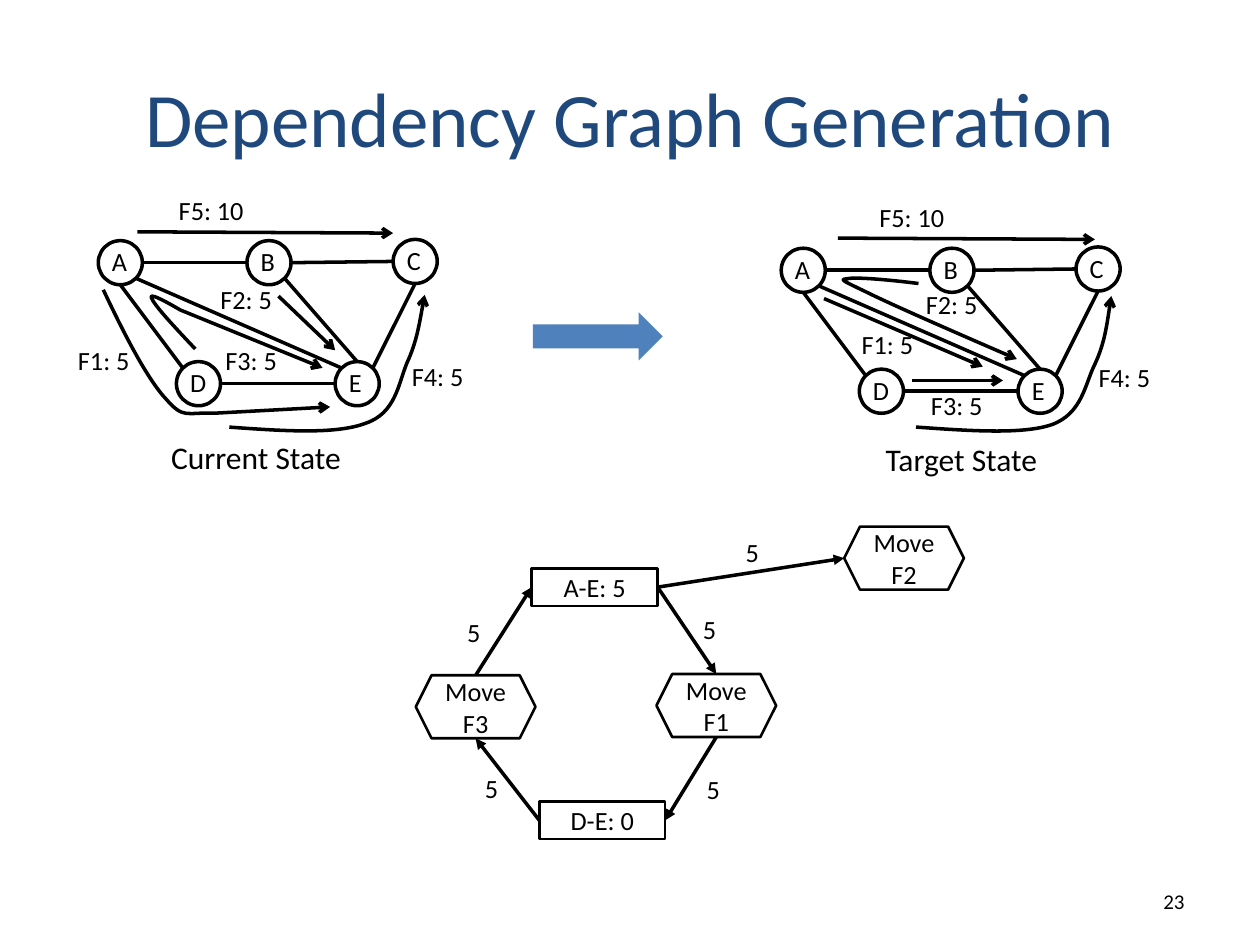
from math import cos, sin, radians
from pptx import Presentation
from pptx.dml.color import RGBColor
from pptx.enum.shapes import MSO_CONNECTOR, MSO_SHAPE
from pptx.enum.text import MSO_ANCHOR, PP_ALIGN
from pptx.oxml.ns import qn
from pptx.util import Inches, Pt
from lxml.etree import SubElement

INK = "000000"
SIZE = 0.35
NODES = {"A": (0.78, 1.91), "B": (1.96, 1.91), "C": (3.12, 1.9),
         "D": (1.4, 2.87), "E": (2.66, 2.87)}
EDGES = [("B", 90, "A", 270), ("C", 90, "B", 270), ("D", 45, "A", 180),
         ("E", 45, "A", 225), ("E", 90, "D", 270), ("C", 180, "E", 315),
         ("E", 0, "B", 225)]
SHIFT = (5.42, 0.06)

NOW = {
    "F1: 5": ((0.52, 2.68), [(0.82, 2.3), (0.99, 2.66), (1.17, 3.01), (1.32, 3.17),
                             (1.46, 3.33), (1.48, 3.27), (1.7, 3.28), (2.62, 3.23)]),
    "F2: 5": ((1.65, 2.2), [(2.21, 2.35), (2.66, 2.78)]),
    "F3: 5": ((1.69, 2.68), [(1.55, 2.77), (1.39, 2.6), (1.22, 2.42), (1.2, 2.36),
                             (1.18, 2.31), (1.43, 2.46), (1.43, 2.46), (2.56, 2.92)]),
    "F4: 5": ((3.17, 2.81), [(1.82, 3.39), (2.24, 3.42), (2.66, 3.45), (2.9, 3.36),
                             (3.14, 3.28), (3.16, 3.05), (3.23, 2.88),
                             (3.31, 2.71), (3.37, 2.34), (3.37, 2.34)]),
    "F5: 10": ((1.32, 1.49), [(1.09, 1.84), (3.12, 1.85)]),
}
GOAL = {
    "F1: 5": ((6.74, 2.56), [(6.54, 2.37), (7.8, 2.91)]),
    "F2: 5": ((7.25, 2.24), [(7.29, 2.25), (7.05, 2.22), (6.81, 2.2), (6.74, 2.21),
                             (6.67, 2.22), (6.65, 2.21), (6.88, 2.32),
                             (7.1, 2.43), (8.07, 2.85), (8.07, 2.85)]),
    "F3: 5": ((7.29, 3.04), [(7.24, 3.02), (7.96, 3.02)]),
    "F4: 5": ((8.62, 2.82), [(7.27, 3.39), (7.69, 3.42), (8.12, 3.45), (8.35, 3.37),
                             (8.59, 3.28), (8.61, 3.05), (8.69, 2.89),
                             (8.77, 2.72), (8.82, 2.35), (8.82, 2.35)]),
    "F5: 10": ((6.88, 1.55), [(6.65, 1.89), (8.69, 1.9)]),
}

RECT, HEX = (MSO_SHAPE.RECTANGLE, 1, 0.3), (MSO_SHAPE.HEXAGON, 0.95, 0.5)
BOXES = {"A-E: 5": (RECT, 4.22, 4.51), "D-E: 0": (RECT, 4.28, 6.36),
         "Move\nF3": (HEX, 3.3, 5.36), "Move\nF1": (HEX, 5.21, 5.35),
         "Move\nF2": (HEX, 6.7, 4.18)}
SIDES = {"top": (0.5, 0), "left": (0, 0.5), "bottom": (0.5, 1), "right": (1, 0.5)}
LINKS = [("A-E: 5", "right", "Move\nF2", "left", (5.82, 4.21)),
         ("A-E: 5", "right", "Move\nF1", "top", (5.48, 4.82)),
         ("Move\nF1", "bottom", "D-E: 0", "right", (5.51, 6.09)),
         ("D-E: 0", "left", "Move\nF3", "bottom", (3.75, 6.08)),
         ("Move\nF3", "top", "A-E: 5", "left", (3.61, 4.84))]


def paint(hue):
    return RGBColor.from_string(hue)


def write(frame, text, size=15, align=PP_ALIGN.LEFT, hue=INK, anchor=MSO_ANCHOR.TOP):
    frame.text = text
    frame.vertical_anchor = anchor
    for para in frame.paragraphs:
        para.alignment = align
        para.font.name = "Calibri"
        para.font.size = Pt(size)
        para.font.color.rgb = paint(hue)


def label(slide, text, at, wide=0.98, high=0.35, wrap=True, **style):
    box = slide.shapes.add_textbox(*map(Inches, (*at, wide, high)))
    box.text_frame.word_wrap = wrap
    write(box.text_frame, text, **style)


def stroke(shape, width, head=None):
    shape.line.color.rgb = paint(INK)
    shape.line.width = Pt(width)
    if head:
        SubElement(shape.line._get_or_add_ln(), qn("a:tailEnd"), type=head)


def block(slide, kind, at, wide, high, width=1.5):
    shape = slide.shapes.add_shape(kind, *map(Inches, (*at, wide, high)))
    shape.shadow.inherit = False
    shape.fill.background()
    stroke(shape, width)
    return shape


def join(slide, start, end, head=None):
    line = slide.shapes.add_connector(MSO_CONNECTOR.STRAIGHT, *map(Inches, (*start, *end)))
    stroke(line, 2, head)
    SubElement(line._element.spPr, qn("a:effectLst"))


def curve(slide, points):
    spots = [(Inches(x), Inches(y)) for x, y in points]
    pen = slide.shapes.build_freeform(*spots[0])
    pen.add_line_segments(spots[1:], close=False)
    shape = pen.convert_to_shape()
    shape.shadow.inherit = False
    shape.fill.background()
    stroke(shape, 2, "arrow")
    steps = list(shape._element.iter(qn("a:lnTo")))
    for i in range(0, len(steps) - 2, 3):
        bend = steps[i].makeelement(qn("a:cubicBezTo"))
        steps[i].addprevious(bend)
        for step in steps[i:i + 3]:
            bend.append(step[0])
            step.getparent().remove(step)


def rim(at, turn):
    half, angle = SIZE / 2, radians(turn)
    return at[0] + half - half * sin(angle), at[1] + half - half * cos(angle)


def state(slide, name, at, wide, flows, shift=(0, 0)):
    spots = {key: (x + shift[0], y + shift[1]) for key, (x, y) in NODES.items()}
    label(slide, name, at, wide, 0.4, wrap=False, size=18)
    for start, out, end, into in EDGES:
        join(slide, rim(spots[start], out), rim(spots[end], into))
    for key, (x, y) in spots.items():
        block(slide, MSO_SHAPE.OVAL, (x, y), SIZE, SIZE, 2)
        label(slide, key, (x + 0.01, y - 0.01), 0.79)
    for text, (place, points) in flows.items():
        if len(points) == 2:
            join(slide, *points, head="arrow")
        else:
            curve(slide, points)
        label(slide, text, place)


def port(name, side):
    (kind, wide, high), x, y = BOXES[name]
    across, down = SIDES[side]
    return x + wide * across, y + high * down


def graph(slide):
    for text, ((kind, wide, high), x, y) in BOXES.items():
        shape = block(slide, kind, (x, y), wide, high)
        write(shape.text_frame, text, align=PP_ALIGN.CENTER, anchor=MSO_ANCHOR.MIDDLE)
    for start, out, end, into, place in LINKS:
        join(slide, port(start, out), port(end, into), "triangle")
        label(slide, "5", place, 0.5)


def main():
    deck = Presentation()
    deck.slide_width, deck.slide_height = Inches(10), Inches(7.5)
    slide = deck.slides.add_slide(deck.slide_layouts[5])
    title = slide.shapes.title
    title.left, title.top, title.width, title.height = map(Inches, (0.5, 0.3, 9, 1.25))
    write(title.text_frame, "Dependency Graph Generation", 44, PP_ALIGN.CENTER,
          "1F497D", MSO_ANCHOR.MIDDLE)
    label(slide, "23", (7.17, 6.95), 2.33, 0.4, size=12, align=PP_ALIGN.RIGHT,
          anchor=MSO_ANCHOR.MIDDLE)
    graph(slide)
    arrow = block(slide, MSO_SHAPE.RIGHT_ARROW, (4.23, 2.48), 1.03, 0.38)
    arrow.fill.solid()
    arrow.fill.fore_color.rgb = paint("4F81BD")
    arrow.line.fill.background()
    state(slide, "Target State", (6.93, 3.44), 1.45, GOAL, SHIFT)
    state(slide, "Current State", (1.26, 3.43), 1.58, NOW)
    deck.save("out.pptx")


main()
